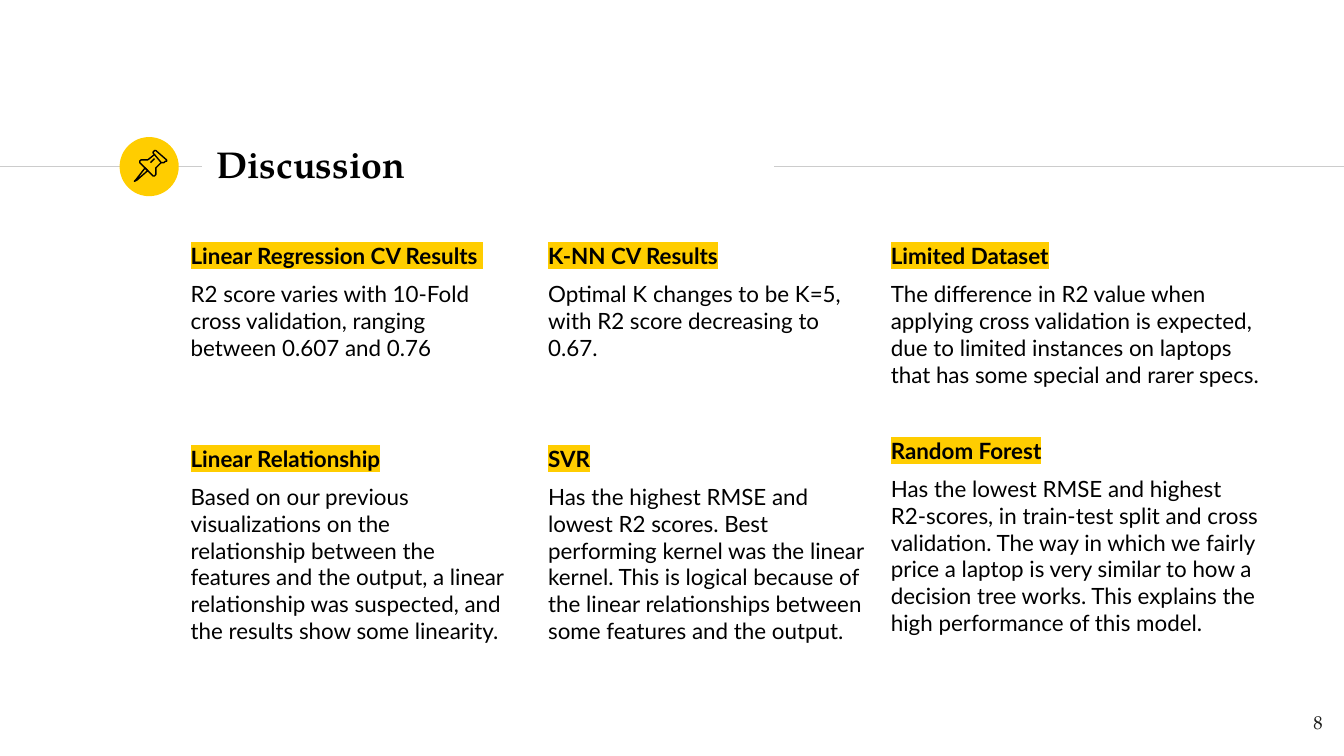
from lxml.etree import SubElement
from pptx import Presentation
from pptx.dml.color import RGBColor
from pptx.enum.shapes import MSO_CONNECTOR, MSO_SHAPE
from pptx.enum.text import MSO_ANCHOR, MSO_AUTO_SIZE, PP_ALIGN
from pptx.oxml.ns import qn
from pptx.util import Inches, Pt

COLOURS = {"rule": "CCCCCC", "accent": "FFCD00", "text": "000000", "number": "1D1D1B"}
SERIF, SANS = "TeX Gyre Pagella", "Lato"
SLIDE_WIDTH = 10
SLIDE_HEIGHT = SLIDE_WIDTH * 9 / 16
RULE_Y = 1.24
COLUMNS = [(1.32, 2.55), (3.98, 2.55), (6.53, 2.95)]  # left, width
TOP_ROW, LOWER_ROW, LOWER_ROW_RAISED = 1.7, 3.21, 3.15

# column, top, height, heading, body
NOTES = [
    (0, TOP_ROW, 1.32, "Linear Regression CV Results ",
     "R2 score varies with 10-Fold cross validation, ranging between 0.607 and 0.76"),
    (1, TOP_ROW, 1.32, "K-NN CV Results",
     "Optimal K changes to be K=5, with R2 score decreasing to 0.67. "),
    (2, TOP_ROW, 1.62, "Limited Dataset",
     "The difference in R2 value when applying cross validation is expected, due to "
     "limited instances on laptops that has some special and rarer specs."),
    (0, LOWER_ROW, 1.32, "Linear Relationship",
     "Based on our previous visualizations on the relationship between the features and "
     "the output, a linear relationship was suspected, and the results show some linearity."),
    (1, LOWER_ROW, 2.42, "SVR",
     "Has the highest RMSE and lowest R2 scores. Best performing kernel was the linear "
     "kernel. This is logical because of the linear relationships between some features "
     "and the output. "),
    (2, LOWER_ROW_RAISED, 2.25, "Random Forest",
     "Has the lowest RMSE and highest R2-scores, in train-test split and cross validation. "
     "The way in which we fairly price a laptop is very similar to how a decision tree "
     "works. This explains the high performance of this model."),
]

# Pushpin outlines in hundredths of an inch: points, closed
PIN_PARTS = [
    ([(108, 125), (101, 134), (100, 135), (102, 134), (110, 127)], True),  # needle
    ([(115, 115), (120, 121), (121, 121.4), (122, 121), (123, 120.5), (124, 120),
      (124, 119), (116, 112), (115, 112), (114, 113), (114, 114)], True),  # cap
    ([(115, 115), (110, 119), (109, 119.3), (107, 118.8), (105, 119), (104, 120),
      (104, 121), (114, 131), (115, 131.2), (116, 130), (116.3, 128), (116, 126),
      (116, 125), (120, 121)], False),  # body
    ([(112, 121), (115, 118)], False),  # glint
]


def colour(name):
    return RGBColor.from_string(COLOURS[name])


def set_font(font, name, size, tint, bold=False):
    font.name, font.size, font.bold = name, Pt(size), bold
    font.color.rgb = colour(tint)


def set_frame(frame, anchor=MSO_ANCHOR.TOP):
    frame.word_wrap = True
    frame.auto_size = MSO_AUTO_SIZE.NONE
    frame.vertical_anchor = anchor
    frame.margin_left = frame.margin_right = Inches(0.1)
    frame.margin_top = frame.margin_bottom = Inches(0.1)


def add_text_box(page, left, top, width, height):
    box = page.shapes.add_textbox(*map(Inches, (left, top, width, height)))
    set_frame(box.text_frame)
    return box.text_frame


def add_rule(page, start, end):
    rule = page.shapes.add_connector(
        MSO_CONNECTOR.STRAIGHT, *map(Inches, (start, RULE_Y, end, RULE_Y)))
    rule.line.color.rgb = colour("rule")
    rule.line.width = Pt(0.75)
    SubElement(rule._element.spPr, qn("a:effectLst"))


def add_badge(page):
    size = 0.44
    disc = page.shapes.add_shape(
        MSO_SHAPE.OVAL, *map(Inches, (0.89, RULE_Y - size / 2, size, size)))
    disc.shadow.inherit = False
    disc.fill.solid()
    disc.fill.fore_color.rgb = colour("accent")
    disc.line.fill.background()


def add_pin(page):
    group = page.shapes.add_group_shape()
    for points, closed in PIN_PARTS:
        builder = group.shapes.build_freeform(*points[0], scale=Inches(0.01))
        builder.add_line_segments(points[1:], close=closed)
        outline = builder.convert_to_shape()
        outline.shadow.inherit = False
        outline.fill.background()
        outline.line.color.rgb = colour("text")
        outline.line.width = Pt(0.75)


def add_title(page, text):
    title = page.shapes.title
    title.left, title.top, title.width, title.height = map(Inches, (1.51, 0.98, 4.24, 0.48))
    set_frame(title.text_frame, MSO_ANCHOR.MIDDLE)
    title.text_frame.text = text
    para = title.text_frame.paragraphs[0]
    para.alignment = PP_ALIGN.LEFT
    set_font(para.font, SERIF, 20, "text", bold=True)


def highlight(span):
    mark = SubElement(span.font._element, qn("a:highlight"))
    SubElement(mark, qn("a:srgbClr"), val=COLOURS["accent"])


def add_note(page, column, top, height, heading, body):
    left, width = COLUMNS[column]
    frame = add_text_box(page, left, top, width, height)
    for para, text, is_heading in ((frame.paragraphs[0], heading, True),
                                   (frame.add_paragraph(), body, False)):
        para.space_before = Pt(6)
        set_font(para.font, SANS, 12, "text", bold=is_heading)
        span = para.add_run()
        span.text = text
        if is_heading:
            highlight(span)


def add_page_number(page, number):
    para = add_text_box(page, 9.34, 5.19, 0.6, 0.43).paragraphs[0]
    para.text = str(number)
    para.alignment = PP_ALIGN.RIGHT
    set_font(para.font, SERIF, 10, "number")


def main():
    deck = Presentation()
    deck.slide_width, deck.slide_height = Inches(SLIDE_WIDTH), Inches(SLIDE_HEIGHT)
    page = deck.slides.add_slide(deck.slide_layouts[5])

    # Header band
    add_rule(page, 0, 1.5)
    add_rule(page, 5.76, SLIDE_WIDTH)
    add_badge(page)
    add_pin(page)
    add_title(page, "Discussion")

    # Findings
    for note in NOTES:
        add_note(page, *note)
    add_page_number(page, 8)

    deck.save("out.pptx")


main()
